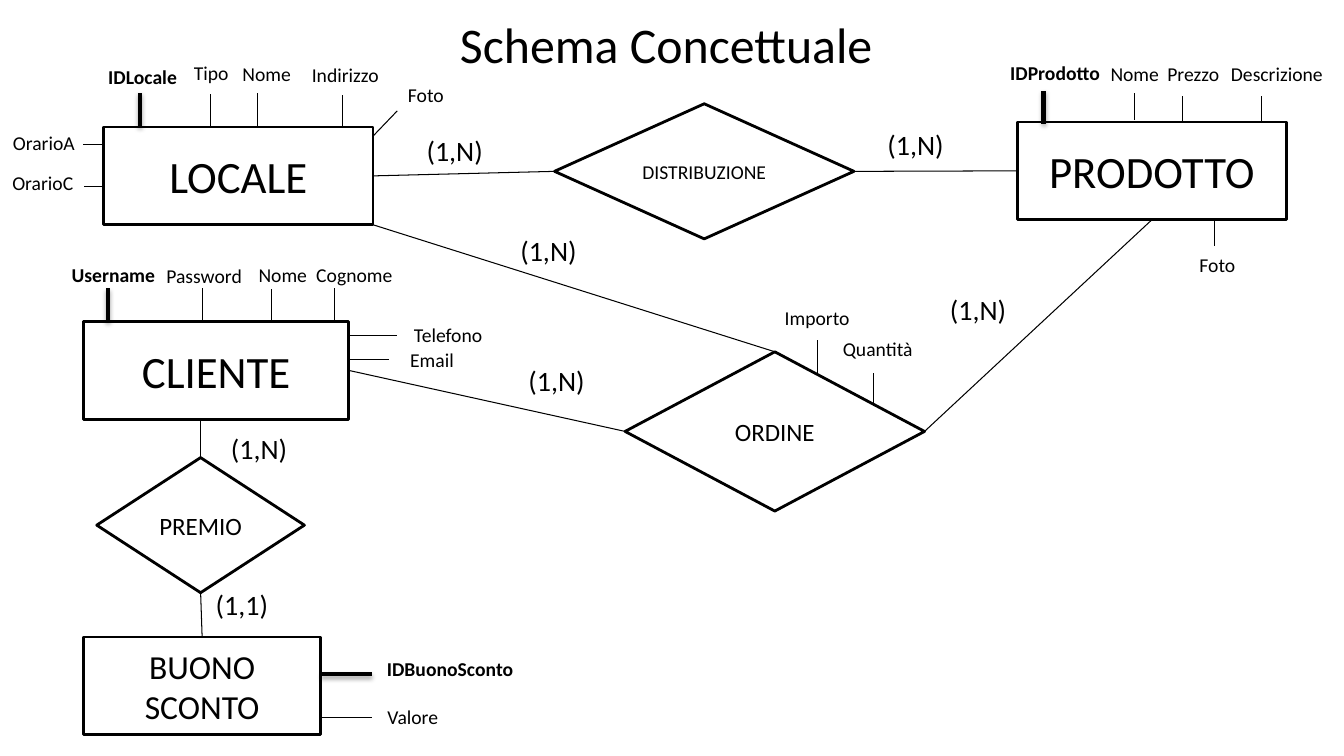
from lxml import etree
from pptx import Presentation
from pptx.dml.color import RGBColor
from pptx.enum.shapes import MSO_CONNECTOR, MSO_SHAPE
from pptx.enum.text import MSO_ANCHOR, PP_ALIGN
from pptx.oxml.ns import qn
from pptx.util import Pt

PX = 9144  # EMU per px, 100 px to the inch
BLACK = RGBColor(0x00, 0x00, 0x00)
WHITE = RGBColor(0xFF, 0xFF, 0xFF)
TOP, LEFT, BOTTOM, RIGHT = range(4)


def write(s, text, size=14, bold=False, inset=(10, 5), wrap=True, anchor=MSO_ANCHOR.TOP):
    tf = s.text_frame
    tf.word_wrap = wrap
    tf.vertical_anchor = anchor
    tf.margin_left = tf.margin_right = inset[0] * PX
    tf.margin_top = tf.margin_bottom = inset[1] * PX
    p = tf.paragraphs[0]
    p.alignment = PP_ALIGN.CENTER
    r = p.add_run()
    r.text = text
    r.font.name = "Calibri"
    r.font.size = Pt(size)
    r.font.bold = bold
    r.font.color.rgb = BLACK


def add_line(x1, y1, x2, y2, key=False):
    """Draw a thin line, or a thick shadowed one for a key attribute."""
    line = sp.add_connector(MSO_CONNECTOR.STRAIGHT, x1 * PX, y1 * PX, x2 * PX, y2 * PX)
    line.line.color.rgb = BLACK
    line.line.width = Pt(3 if key else 0.75)
    effects = etree.SubElement(line._element.spPr, qn("a:effectLst"))
    if key:
        shadow = etree.SubElement(effects, qn("a:outerShdw"), blurRad="40000",
                                  dist="23000", dir="5400000", rotWithShape="0")
        color = etree.SubElement(shadow, qn("a:srgbClr"), val="000000")
        etree.SubElement(color, qn("a:alpha"), val="35000")
    return line


prs = Presentation()
prs.slide_width, prs.slide_height = 1333 * PX, 750 * PX
sp = prs.slides.add_slide(prs.slide_layouts[6]).shapes

title = sp.add_textbox(211 * PX, 5 * PX, 900 * PX, 77 * PX)
write(title, "Schema Concettuale", size=35.6, inset=(18, 9))

# Entities and relationships
ENTITY, RELATION = MSO_SHAPE.RECTANGLE, MSO_SHAPE.FLOWCHART_DECISION
nodes = {}
for name, kind, x, y, w, h, size in [
    ("LOCALE", ENTITY, 103, 126, 267, 97, 32),
    ("PRODOTTO", ENTITY, 1009, 121, 267, 97, 32),
    ("CLIENTE", ENTITY, 83, 319, 263, 97, 32),
    ("BUONO SCONTO", ENTITY, 83, 632, 235, 97, 24),
    ("DISTRIBUZIONE", RELATION, 550, 103, 297, 134, 14),
    ("ORDINE", RELATION, 620, 349, 297, 158, 17.8),
    ("PREMIO", RELATION, 96, 454, 206, 134, 17.8),
]:
    s = sp.add_shape(kind, x * PX, y * PX, w * PX, h * PX)
    s.shadow.inherit = False
    s.fill.solid()
    s.fill.fore_color.rgb = WHITE
    s.line.color.rgb = BLACK
    s.line.width = Pt(2)
    write(s, name, size=size, anchor=MSO_ANCHOR.MIDDLE)
    nodes[name] = s

# Links: relationship and side, entity and side (None where no side's middle is met)
for relation, side, entity, entity_side, ends in [
    ("PREMIO", TOP, "CLIENTE", None, (199, 454, 199, 416)),
    ("DISTRIBUZIONE", LEFT, "LOCALE", RIGHT, (550, 170, 370, 174)),
    ("ORDINE", LEFT, "CLIENTE", RIGHT, (620, 428, 346, 368)),
    ("ORDINE", RIGHT, "PRODOTTO", BOTTOM, (917, 428, 1143, 218)),
    ("ORDINE", TOP, "LOCALE", None, (769, 349, 370, 223)),
    ("DISTRIBUZIONE", RIGHT, "PRODOTTO", LEFT, (847, 170, 1009, 170)),
    ("PREMIO", BOTTOM, "BUONO SCONTO", TOP, (199, 588, 201, 632)),
]:
    link = add_line(*ends)
    link.begin_connect(nodes[relation], side)
    if entity_side is not None:
        link.end_connect(nodes[entity], entity_side)

for text, x, y, w in [
    ("(1,N)", 405, 123, 92), ("(1,N)", 862, 117, 92), ("(1,N)", 506, 352, 92),
    ("(1,N)", 924, 281, 92), ("(1,N)", 498, 223, 92), ("(1,N)", 211, 419, 92),
    ("(1,1)", 196, 574, 88),
]:
    cardinality = sp.add_textbox(x * PX, y * PX, w * PX, 51 * PX)
    write(cardinality, text, size=20, inset=(18, 9), wrap=False)

# Attributes: name, label left and top, line ends, key
for name, x, y, ends, key in [
    ("IDLocale", 35, 59, (139, 125, 139, 92), True),
    ("Tipo", 103, 56, (209, 126, 209, 93), False),
    ("Nome", 158, 57, (255, 125, 255, 92), False),
    ("Indirizzo", 236, 58, (340, 127, 340, 94), False),
    ("Foto", 316, 77, (370, 135, 394, 110), False),
    ("OrarioA", -63, 125, (103, 143, 82, 143), False),
    ("OrarioC", -64, 165, (104, 185, 83, 185), False),
    ("IDProdotto", 940, 56, (1035, 123, 1035, 90), True),
    ("Nome", 1019, 57, (1125, 119, 1125, 92), False),
    ("Prezzo", 1077, 57, (1173, 121, 1173, 95), False),
    ("Descrizione", 1160, 57, (1251, 121, 1251, 95), False),
    ("Foto", 1101, 246, (1205, 217, 1205, 244), False),
    ("Username", 6, 256, (107, 319, 107, 286), True),
    ("Password", 96, 257, (201, 319, 201, 286), False),
    ("Nome", 174, 256, (269, 320, 269, 287), False),
    ("Cognome", 245, 256, (332, 319, 332, 286), False),
    ("Telefono", 338, 315, (346, 333, 394, 333), False),
    ("Email", 322, 340, (346, 357, 386, 357), False),
    ("IDBuonoSconto", 340, 647, (318, 669, 369, 669), True),
    ("Valore", 303, 694, (318, 712, 369, 712), False),
    ("Importo", 704, 299, (811, 370, 811, 337), False),
    ("Quantità", 764, 329, (866, 403, 866, 370), False),
]:
    add_line(*ends, key=key)
    label = sp.add_textbox(x * PX, y * PX, 213 * PX, 33 * PX)
    write(label, name, bold=key)

prs.save("out.pptx")
